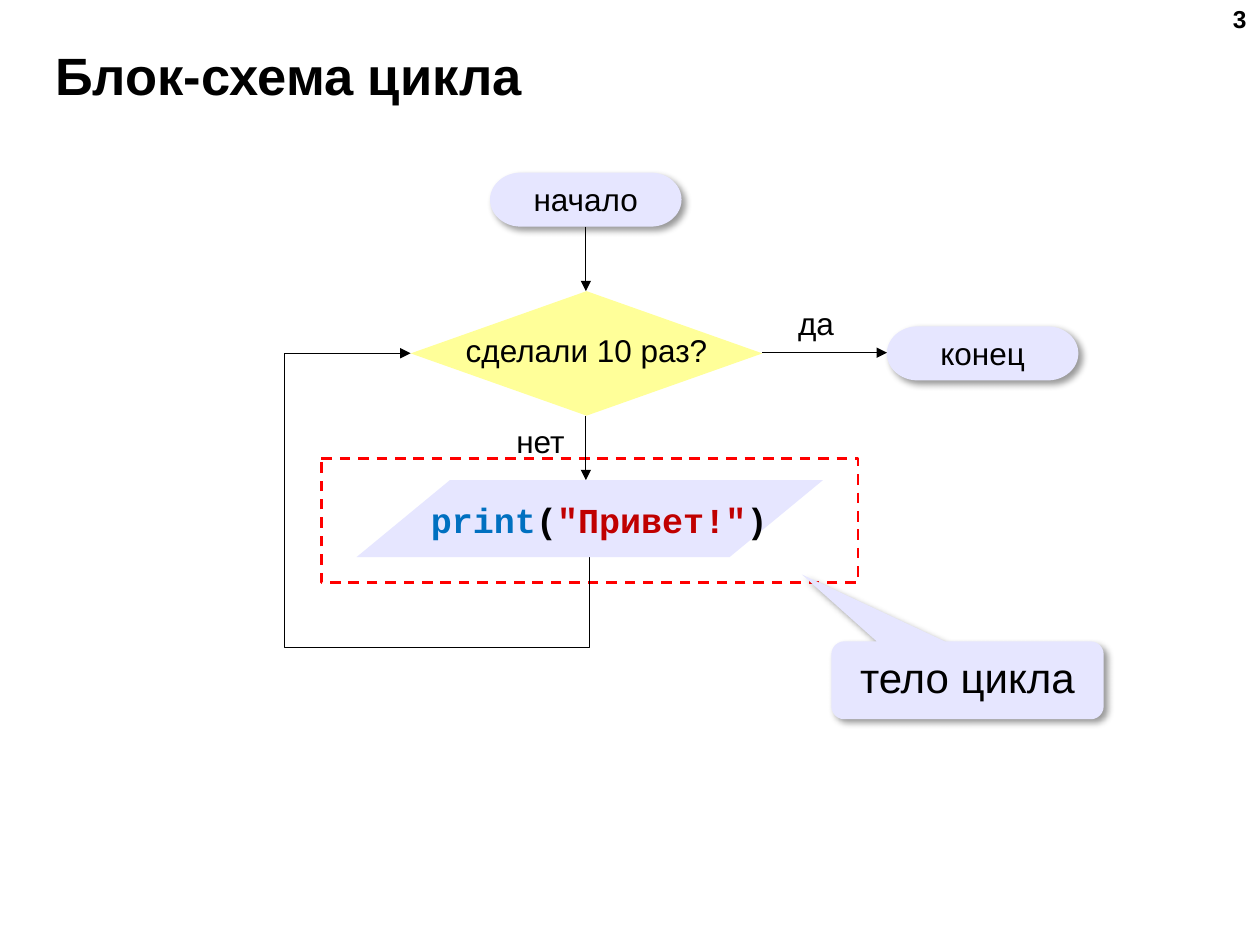
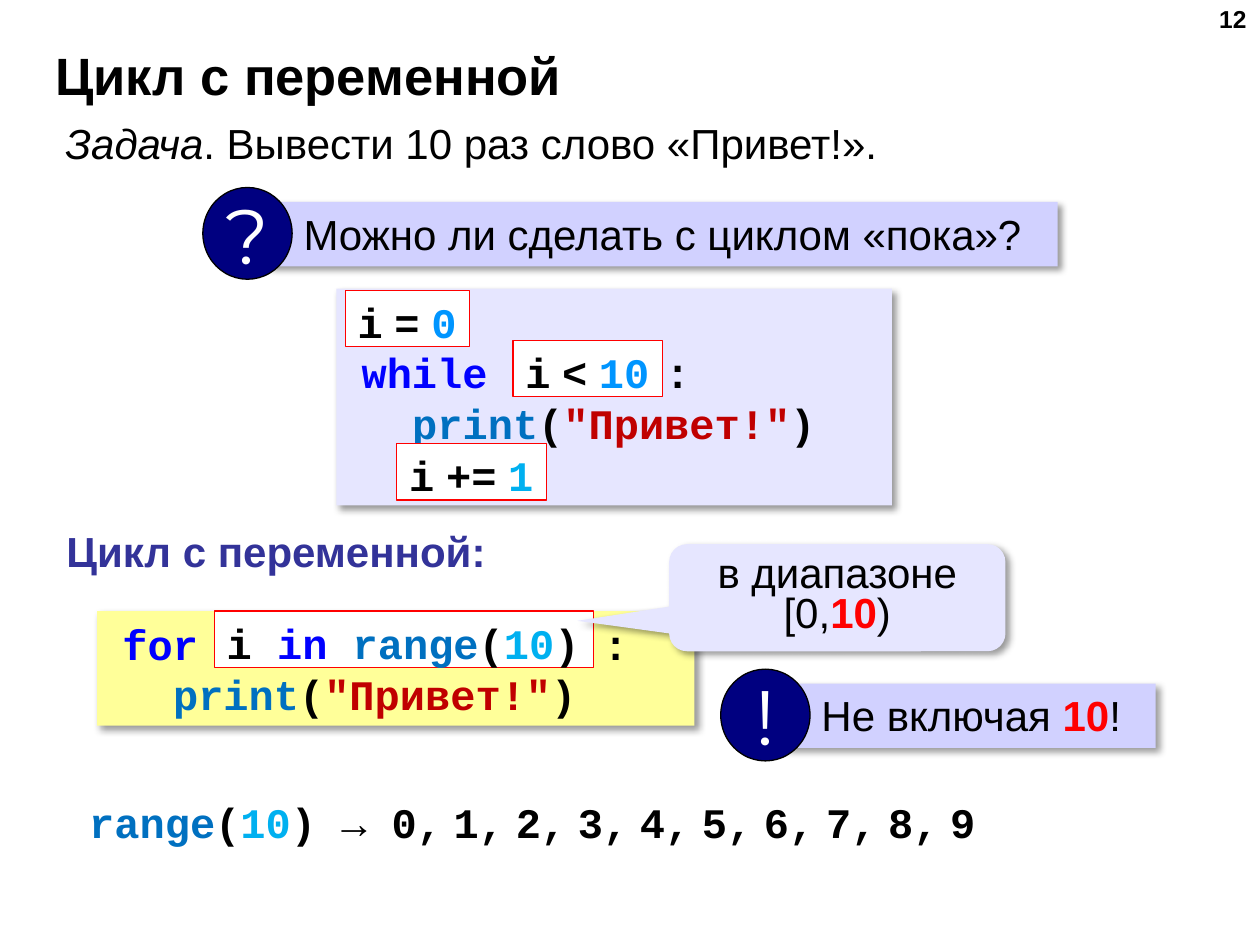
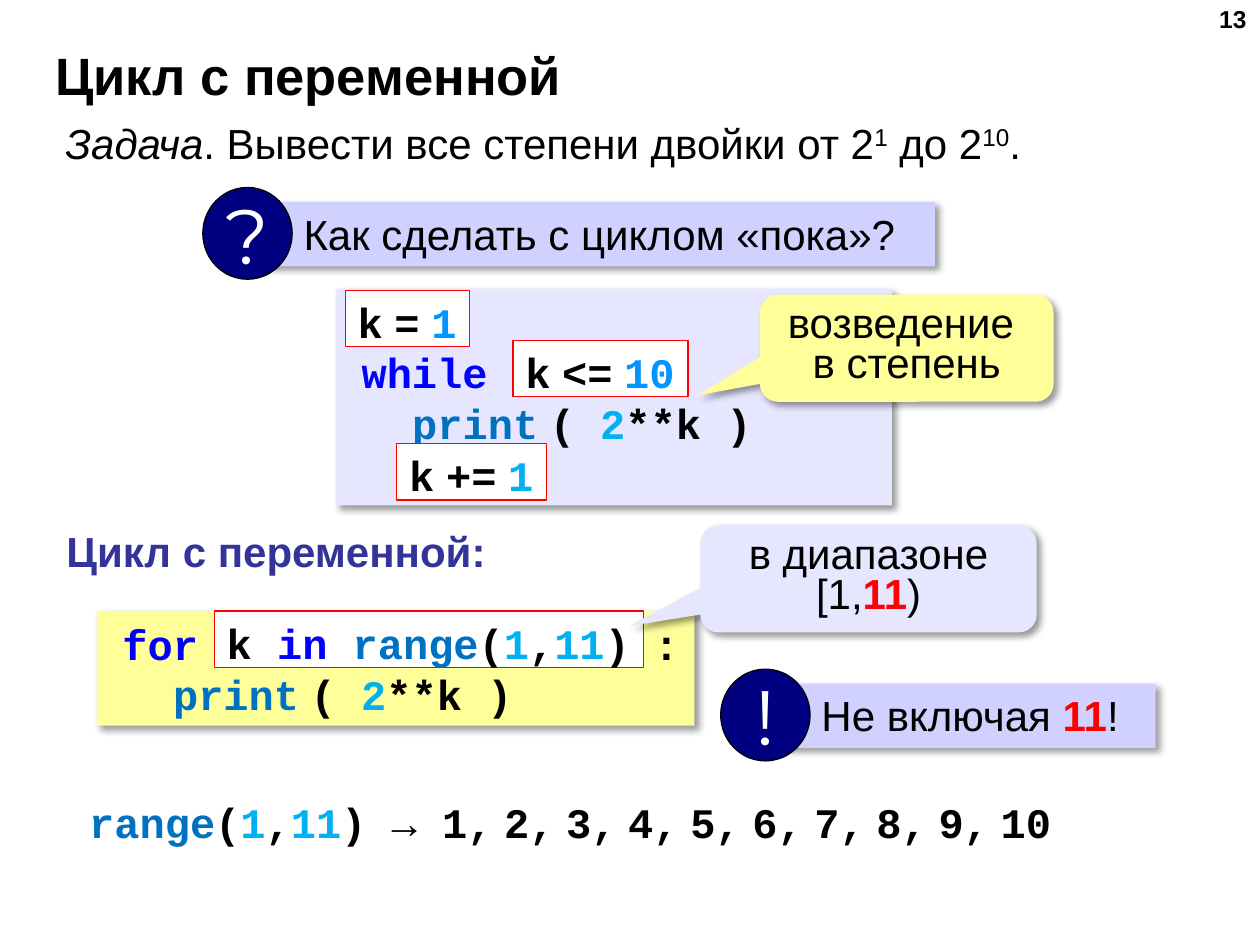
from collections import namedtuple

from lxml import etree
from pptx import Presentation
from pptx.dml.color import RGBColor
from pptx.enum.dml import MSO_LINE
from pptx.enum.shapes import MSO_CONNECTOR, MSO_SHAPE
from pptx.enum.text import MSO_ANCHOR, MSO_AUTO_SIZE, PP_ALIGN
from pptx.oxml.ns import qn
from pptx.util import Cm, Pt

LEFT, CENTER, RIGHT = PP_ALIGN.LEFT, PP_ALIGN.CENTER, PP_ALIGN.RIGHT
TOP, MIDDLE = MSO_ANCHOR.TOP, MSO_ANCHOR.MIDDLE
STRAIGHT, ELBOW = MSO_CONNECTOR.STRAIGHT, MSO_CONNECTOR.ELBOW
RECTANGLE, OVAL = MSO_SHAPE.RECTANGLE, MSO_SHAPE.OVAL
CALLOUT = MSO_SHAPE.ROUNDED_RECTANGULAR_CALLOUT
PROCESS, TERMINATOR = MSO_SHAPE.FLOWCHART_PROCESS, MSO_SHAPE.FLOWCHART_TERMINATOR
DECISION, DATA = MSO_SHAPE.FLOWCHART_DECISION, MSO_SHAPE.FLOWCHART_DATA

BLACK = RGBColor(0x00, 0x00, 0x00)
WHITE = RGBColor(0xFF, 0xFF, 0xFF)
RED = RGBColor(0xFF, 0x00, 0x00)
NAVY = RGBColor(0x00, 0x00, 0x80)
INDIGO = RGBColor(0x33, 0x33, 0x99)
LAVENDER = RGBColor(0xE6, 0xE6, 0xFF)
LILAC = RGBColor(0xD1, 0xD1, 0xFF)
YELLOW = RGBColor(0xFF, 0xFF, 0x99)
KEYWORD = RGBColor(0x00, 0x00, 0xFF)
FUNCTION = RGBColor(0x00, 0x70, 0xC0)
STRING = RGBColor(0xC0, 0x00, 0x00)
NUMBER = RGBColor(0x00, 0xB0, 0xF0)
LIMIT = RGBColor(0x00, 0x95, 0xFF)

TEXT_FONT, CODE_FONT, SIGN_FONT = "Arial", "Courier New", "Montserrat"
CODE_CHAR, NARROW_SPACE, INSET = 0.51, 0.24, 0.25
SNIPPET_HEIGHT = 1.14

Span = namedtuple("Span", "text color bold italic font raised",
                  defaults=(BLACK, None, None, None, False))
GAP = Span(" ", font=TEXT_FONT)
PRINT_HELLO = [Span("print", FUNCTION), Span("("), Span('"Привет!"', STRING), Span(")")]
PRINT_POWER = [Span("print", FUNCTION), GAP, Span("( "), Span("2", NUMBER), Span("**k )")]


class Box(namedtuple("Box", "left top width height")):
    def inside(self, left, top, width, height):
        return Box(self.left + left, self.top + top, width, height)

    def lengths(self):
        return [Cm(value) for value in self]


def write(shape, lines, size, font=TEXT_FONT, bold=False, align=LEFT, anchor=TOP,
          wrap=True, insets=(INSET, 0.13, INSET, 0.13), spacing=None):
    frame = shape.text_frame
    frame.auto_size = MSO_AUTO_SIZE.NONE
    frame.word_wrap = wrap
    frame.vertical_anchor = anchor
    (frame.margin_left, frame.margin_top,
     frame.margin_right, frame.margin_bottom) = [Cm(value) for value in insets]
    for index, spans in enumerate(lines):
        para = frame.add_paragraph() if index else frame.paragraphs[0]
        para.alignment = align
        if spacing:
            para.line_spacing = spacing
        para.font.size = Pt(size)
        para.font.name = font
        para.font.bold = bold
        for part in spans:
            span = para.add_run()
            span.text = part.text
            span.font.color.rgb = part.color
            span.font.bold = part.bold
            span.font.italic = part.italic
            if part.font:
                span.font.name = part.font
            if part.raised:
                span.font._element.set("baseline", "30000")
    return frame.paragraphs


def add_text(page, box, lines, size, **style):
    return write(page.shapes.add_textbox(*box.lengths()), lines, size, **style)


def add_figure(page, kind, box, fill=None, line=None, weight=0.75, shadow=False):
    shape = page.shapes.add_shape(kind, *box.lengths())
    if fill is None:
        shape.fill.background()
    else:
        shape.fill.solid()
        shape.fill.fore_color.rgb = fill
    if line is None:
        shape.line.fill.background()
    else:
        shape.line.color.rgb = line
        shape.line.width = Pt(weight)
    shape.shadow.inherit = False
    if shadow:
        effects = shape._element.spPr.find(qn("a:effectLst"))
        outer = etree.SubElement(effects, qn("a:outerShdw"), blurRad=str(Pt(4)),
                                 dist=str(Pt(3)), dir="2700000", algn="tl", rotWithShape="0")
        color = etree.SubElement(outer, qn("a:srgbClr"), val=str(BLACK))
        etree.SubElement(color, qn("a:alpha"), val="40000")
    return shape


def add_callout(page, box, pointer, lines, fill=LAVENDER, spacing=0.8):
    callout = add_figure(page, CALLOUT, box, fill, shadow=True)
    callout.adjustments[0], callout.adjustments[1] = pointer
    write(callout, lines, 24, align=CENTER, spacing=spacing)


def add_arrow(page, start, end, kind=STRAIGHT):
    arrow = page.shapes.add_connector(kind, *[Cm(value) for value in (*start, *end)])
    arrow.line.color.rgb = BLACK
    arrow.line.width = Pt(0.75)
    etree.SubElement(arrow.line._get_or_add_ln(), qn("a:tailEnd"), type="triangle")
    etree.SubElement(arrow._element.spPr, qn("a:effectLst"))
    return arrow


def add_return_arrow(page, box):
    arrow = add_arrow(page, box[:2], (box.left + box.width, box.top + box.height), ELBOW)
    properties = arrow._element.spPr
    frame = properties.find(qn("a:xfrm"))
    frame.set("rot", "5400000")
    frame.set("flipH", "1")
    geometry = properties.find(qn("a:prstGeom"))
    geometry.set("prst", "bentConnector4")
    bends = geometry.find(qn("a:avLst"))
    for name, value in (("adj1", -44400), ("adj2", 170400)):
        etree.SubElement(bends, qn("a:gd"), name=name, fmla=f"val {value}")


def add_page(deck, title, number):
    page = deck.slides.add_slide(deck.slide_layouts[5])
    heading = page.shapes.title
    heading.left, heading.top, heading.width, heading.height = Box(0.86, 0.84, 23.27, 1.32).lengths()
    write(heading, [[Span(title)]], 30, bold=True, anchor=MIDDLE)
    add_text(page, Box(19.46, -0.05, 5.92, 1.32), [[Span(str(number))]], 14,
             bold=True, align=RIGHT)
    return page


def add_flowchart(page, box):
    body = add_figure(page, PROCESS, box.inside(0.74, 5.77, 10.82, 2.49), line=RED, weight=1.5)
    body.line.dash_style = MSO_LINE.DASH
    for label, left, top in (("начало", 4.14, 0), ("конец", 12.14, 3.1)):
        terminal = add_figure(page, TERMINATOR, box.inside(left, top, 3.86, 1.09),
                              LAVENDER, shadow=True)
        write(terminal, [[Span(label)]], 18, align=CENTER, insets=(0, 0, 0, 0.13))
    add_return_arrow(page, box.inside(2.29, 3.89, 4.11, 3.61))
    for x1, y1, x2, y2 in ((6.07, 1.09, 6.07, 2.39), (9.63, 3.63, 12.14, 3.63),
                           (6.07, 4.9, 6.07, 6.2)):
        add_arrow(page, (box.left + x1, box.top + y1), (box.left + x2, box.top + y2))
    for label, left, top, width in (("да", 10.01, 2.51, 1.4), ("нет", 4.29, 4.9, 1.73)):
        add_text(page, box.inside(left, top, width, 1.12), [[Span(label)]], 18, align=CENTER)
    add_callout(page, box.inside(11.02, 9.45, 5.49, 1.57), (-0.608, -1.358),
                [[Span("тело цикла")]], spacing=None)
    add_figure(page, DECISION, box.inside(2.54, 2.39, 7.09, 2.51), YELLOW)
    add_text(page, box.inside(3.1, 3.07, 5.97, 1.12), [[Span("сделали 10 раз?")]], 18, align=CENTER)
    add_figure(page, DATA, box.inside(1.45, 6.2, 9.4, 1.55), LAVENDER)
    add_text(page, box.inside(2.21, 6.43, 8.26, 1.12), [PRINT_HELLO], 20,
             font=CODE_FONT, bold=True, align=CENTER)


def add_banner(page, box, sign, spans):
    bar = add_figure(page, RECTANGLE, box.inside(1.3, 0.29, box.width - 1.3, 1.3), LILAC, shadow=True)
    write(bar, [spans], 24, insets=(0.73, 0.13, INSET, 0.13))
    disc = add_figure(page, OVAL, box.inside(0, 0, 1.8, box.height), NAVY, BLACK)
    write(disc, [[Span(sign, WHITE)]], 44, font=SIGN_FONT, align=CENTER, anchor=MIDDLE, wrap=False)


def add_snippet(page, box, left, top, spans):
    width = 2 * INSET + sum(NARROW_SPACE if span is GAP else CODE_CHAR * len(span.text)
                            for span in spans)
    snippet = add_figure(page, RECTANGLE, box.inside(left, top, width, SNIPPET_HEIGHT), WHITE, RED)
    write(snippet, [spans], 24, font=CODE_FONT, bold=True, wrap=False, insets=(INSET, 0.13, INSET, 0))


def add_code(page, box, fill, keyword, colon_column, action):
    panel = add_figure(page, RECTANGLE, box, fill, shadow=True)
    header, command = write(panel, [[Span(keyword, KEYWORD), Span("\t:")], action], 24,
                            font=CODE_FONT, bold=True, anchor=MIDDLE, insets=(0.51, 0.13, INSET, 0.13))
    tabs = etree.Element(qn("a:tabLst"))
    etree.SubElement(tabs, qn("a:tab"), pos=str(Cm(colon_column * CODE_CHAR)), algn="l")
    header._p.get_or_add_pPr().insert(0, tabs)
    command._p.get_or_add_pPr().set("marL", str(Cm(2 * CODE_CHAR)))


def add_while_loop(page, box, name, start, comparison, action):
    add_code(page, box, LAVENDER, "while", 12, action)
    for left, top, sign, value, color in ((0.18, 0.03, "=", start, LIMIT),
                                          (3.56, 1.04, comparison, "10", LIMIT),
                                          (1.22, 3.12, "+=", "1", NUMBER)):
        add_snippet(page, box, left, top, [Span(name), GAP, Span(sign), GAP, Span(value, color)])


def range_call(limits):
    spans = [Span("range", FUNCTION), Span("(")]
    for index, limit in enumerate(limits):
        if index:
            spans.append(Span(","))
        spans.append(Span(str(limit), NUMBER))
    return spans + [Span(")")]


def add_for_loop(page, box, name, limits, action):
    spans = [Span(f"{name} "), Span("in ", KEYWORD)] + range_call(limits)
    columns = sum(len(span.text) for span in spans)
    add_code(page, box, YELLOW, "for", columns + 5, action)
    add_snippet(page, box, 2.36, 0, spans)


def add_range_values(page, box, limits):
    spans = range_call(limits) + [Span(" → ")]
    values = range(*limits)
    for value in values:
        if value == values[-1]:
            spans.append(Span(str(value)))
        else:
            spans += [Span(f"{value},"), GAP]
    add_text(page, box, [spans], 24, font=CODE_FONT, bold=True)


def add_loop_page(deck, number, task, question, question_width, name, start,
                  comparison, limits, action, range_box, pointer):
    page = add_page(deck, "Цикл с переменной", number)
    stop = str(limits[-1])
    add_text(page, Box(1.07, 2.24, 23.55, 1.3), [[Span("Задача", italic=True)] + task], 24)
    add_banner(page, Box(4.09, 3.78, question_width, 1.85), "?", [Span(question)])
    add_while_loop(page, Box(6.78, 5.82, 11.2, 4.37), name, start, comparison, action)
    add_for_loop(page, Box(1.96, 12.32, 12.04, 2.31), name, limits, action)
    add_callout(page, range_box, pointer,
                [[Span(f"в диапазоне [{start},"), Span(stop, RED, bold=True), Span(")")]])
    add_text(page, Box(1.09, 10.46, 9.04, 1.27), [[Span("Цикл с переменной:", INDIGO)]], 24, bold=True)
    add_banner(page, Box(14.53, 13.49, 8.77, 1.85), "!",
               [Span("Не включая "), Span(stop, RED, bold=True), Span("!")])
    add_range_values(page, Box(1.55, 15.93, 20.65, 1.3), limits)
    return page


def main():
    deck = Presentation()
    deck.slide_width, deck.slide_height = Cm(25.4), Cm(19.05)

    add_flowchart(add_page(deck, "Блок-схема цикла", 3), Box(5.74, 3.48, 16.51, 11.02))

    add_loop_page(deck, 12, [Span(". Вывести 10 раз слово «Привет!».")],
                  "Можно ли сделать с циклом «пока»?", 17.23, "i", "0", "<", (10,),
                  PRINT_HELLO, Box(13.49, 10.97, 6.78, 2.16), (-0.773, 0.216))

    powers = add_loop_page(
        deck, 13,
        [Span(". Вывести все степени двойки от 2"), Span("1", raised=True),
         Span(" до 2"), Span("10", raised=True), Span(".")],
        "Как сделать с циклом «пока»?", 14.76, "k", "1", "<=", (1, 11),
        PRINT_POWER, Box(14.12, 10.59, 6.78, 2.16), (-0.711, 0.439))
    add_callout(powers, Box(15.32, 5.94, 5.92, 2.16), (-0.711, 0.439),
                [[Span("возведение ")], [Span("в степень")]], YELLOW)

    deck.save("out.pptx")


if __name__ == "__main__":
    main()
